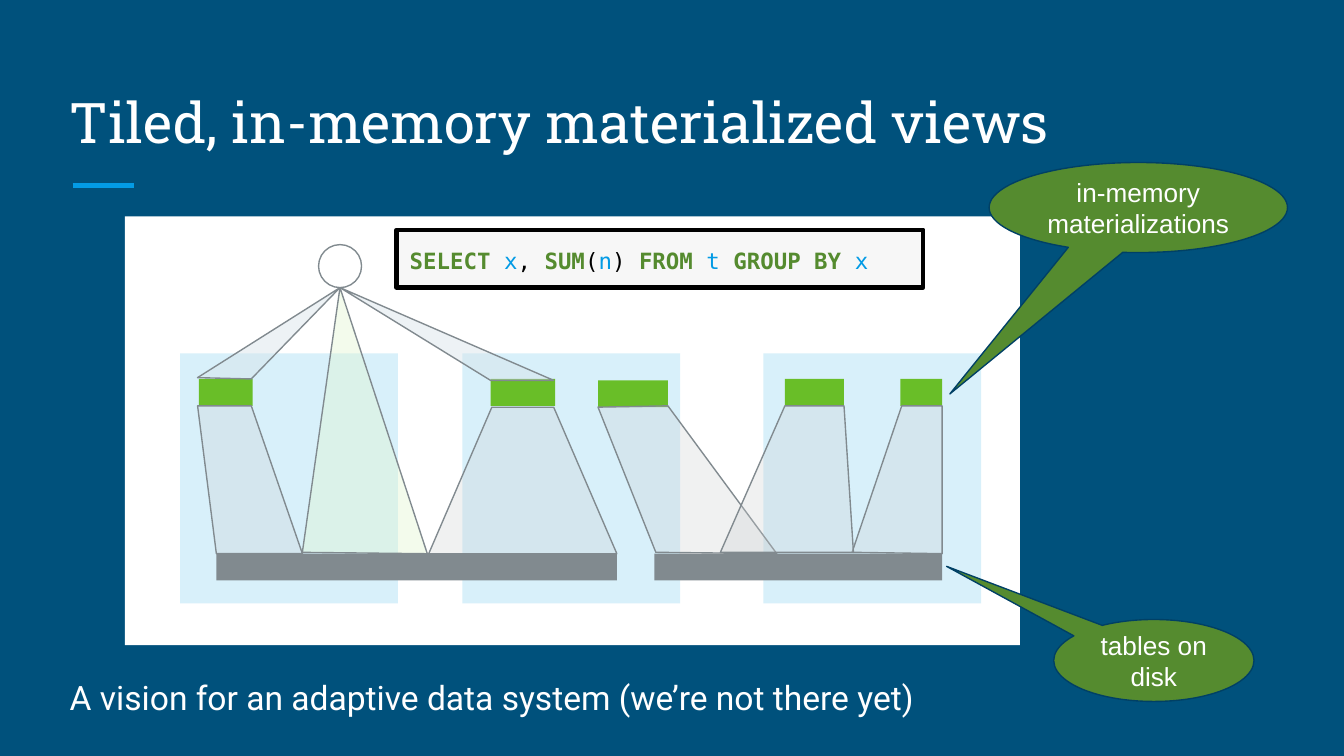
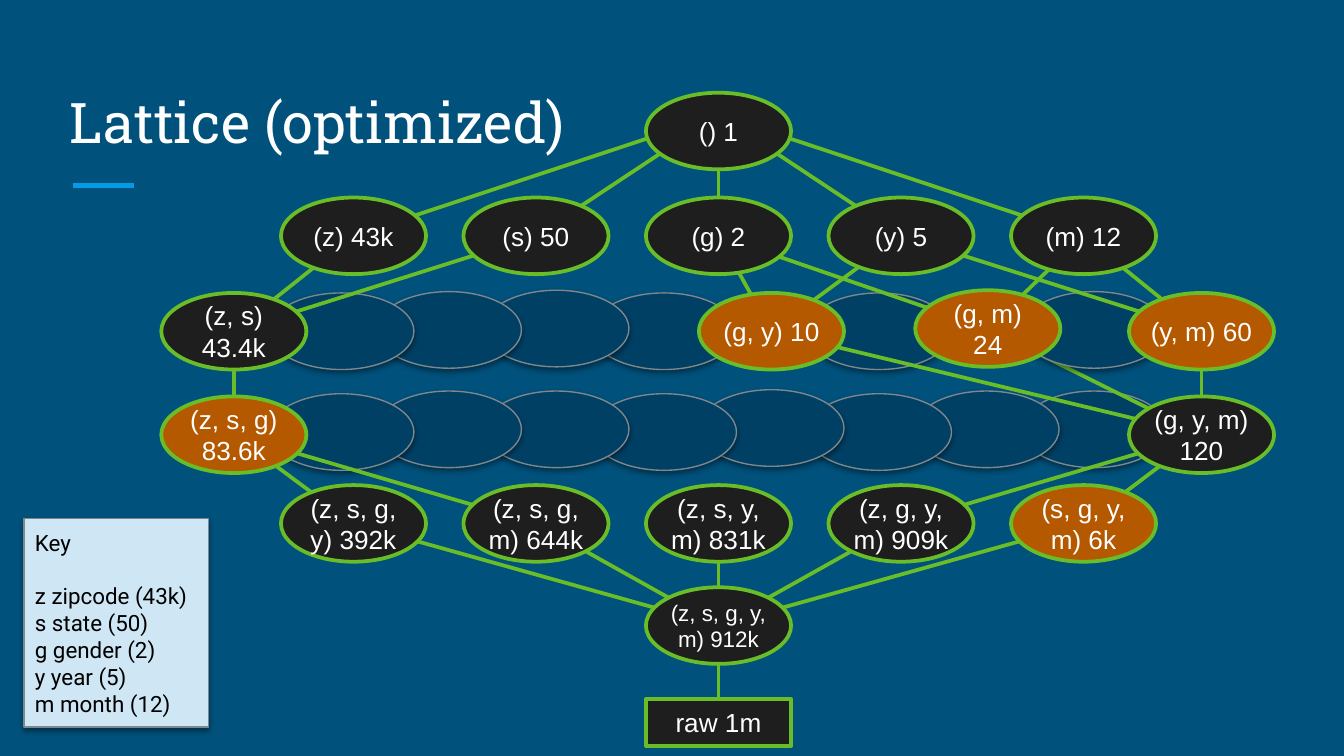
from dataclasses import dataclass
from typing import NamedTuple, Optional

from lxml.etree import SubElement
from pptx import Presentation
from pptx.dml.color import RGBColor
from pptx.enum.shapes import MSO_CONNECTOR, MSO_SHAPE
from pptx.enum.text import MSO_ANCHOR, PP_ALIGN
from pptx.oxml.ns import qn
from pptx.util import Inches, Pt

RECT, ELLIPSE, CALLOUT = MSO_SHAPE.RECTANGLE, MSO_SHAPE.OVAL, MSO_SHAPE.OVAL_CALLOUT
STRAIGHT = MSO_CONNECTOR.STRAIGHT
LEFT, CENTER = PP_ALIGN.LEFT, PP_ALIGN.CENTER
TOP, MIDDLE, BOTTOM = MSO_ANCHOR.TOP, MSO_ANCHOR.MIDDLE, MSO_ANCHOR.BOTTOM

# The slide is a grid of square cells: 100 columns by 56.25 rows
CELL = Inches(0.1)
COLUMNS, ROWS = 100, 56.25

NAVY = RGBColor(0x00, 0x51, 0x7C)
DEEP_NAVY = RGBColor(0x00, 0x40, 0x65)
SKY = RGBColor(0x03, 0x9B, 0xE5)
WHITE = RGBColor(0xFF, 0xFF, 0xFF)
BLACK = RGBColor(0x00, 0x00, 0x00)
PALE_BLUE = RGBColor(0xD8, 0xF0, 0xFA)
KEY_BLUE = RGBColor(0xCF, 0xE7, 0xF5)
GRAY = RGBColor(0x81, 0x8A, 0x8F)
EDGE_GRAY = RGBColor(0x7E, 0x87, 0x8C)
LIME = RGBColor(0x69, 0xBE, 0x28)
LEAF = RGBColor(0x55, 0x8B, 0x2F)
CODE_GRAY = RGBColor(0xF7, 0xF7, 0xF7)
CHARCOAL = RGBColor(0x1E, 0x1E, 0x1E)
ORANGE = RGBColor(0xB4, 0x59, 0x00)
SILVER = RGBColor(0xCD, 0xD0, 0xD2)
MIST = RGBColor(0xD6, 0xE2, 0xE9)
PALE_GREEN = RGBColor(0xE1, 0xF5, 0xD1)

SANS, BODY, SLAB, MONO = "Arial", "Roboto", "Roboto Slab", "DejaVu Sans Mono"


class Area(NamedTuple):
    left: float
    top: float
    width: float
    height: float


class Span(NamedTuple):
    text: str
    color: RGBColor
    bold: bool = False


class Facet(NamedTuple):
    color: RGBColor
    opacity: int
    corners: list


@dataclass
class Node:
    letters: str
    count: str
    left: float
    top: float
    color: RGBColor = CHARCOAL
    size: float = 14
    inset: float = 0
    rise: float = 0  # how far above the centre its links meet

    @property
    def label(self) -> str:
        return f"({', '.join(self.letters)}) {self.count}"

    @property
    def hub(self) -> tuple:
        return self.left + NODE_WIDTH / 2, self.top + NODE_HEIGHT / 2 - self.rise


def cells(count: float) -> int:
    return round(count * CELL)


# Shared drawing functions
def write(box, *paragraphs, font=SANS, size=14, color=WHITE, align=CENTER,
          anchor=MIDDLE, inset=1.0, spacing=None, after=()):
    """Fill a box; a paragraph is a string or a list of spans."""
    frame = box.text_frame
    frame.word_wrap = True
    frame.vertical_anchor = anchor
    frame.margin_left = frame.margin_right = cells(inset)
    frame.margin_top = frame.margin_bottom = cells(inset)
    for index, content in enumerate(paragraphs):
        para = frame.paragraphs[0] if index == 0 else frame.add_paragraph()
        para.alignment = align
        if spacing:
            para.line_spacing = spacing
        if index < len(after):
            para.space_after = Pt(after[index])
        spans = [Span(content, color)] if isinstance(content, str) else content
        for span in spans:
            run = para.add_run()
            run.text = span.text
            run.font.name, run.font.size = font, Pt(size)
            run.font.bold = span.bold
            run.font.color.rgb = span.color


def paint(shape, fill: Optional[RGBColor], line: Optional[RGBColor],
          weight: float, opacity: int = 100, shadow: bool = False):
    shape.shadow.inherit = False
    properties = shape._element.spPr
    if fill is None:
        shape.fill.background()
    else:
        shape.fill.solid()
        shape.fill.fore_color.rgb = fill
        if opacity < 100:
            tint = properties.find(qn("a:solidFill"))[0]
            SubElement(tint, qn("a:alpha"), val=str(opacity * 1000))
    if line is None:
        shape.line.fill.background()
    else:
        shape.line.color.rgb = line
        shape.line.width = Pt(weight)
    if shadow:
        outer = SubElement(properties.find(qn("a:effectLst")), qn("a:outerShdw"),
                           blurRad=str(Pt(3)), dist=str(Pt(1.6)),
                           dir="5400000", rotWithShape="0")
        black = SubElement(outer, qn("a:srgbClr"), val=str(BLACK))
        SubElement(black, qn("a:alpha"), val="38000")


def add_box(slide, kind, area: Area, fill=None, line=None, weight=0.75, shadow=False):
    shape = slide.shapes.add_shape(kind, *map(cells, area))
    paint(shape, fill, line, weight, shadow=shadow)
    return shape


def add_line(slide, start: tuple, end: tuple, color: RGBColor, weight: float):
    line = slide.shapes.add_connector(STRAIGHT, *map(cells, (*start, *end)))
    line.line.color.rgb = color
    line.line.width = Pt(weight)
    SubElement(line._element.spPr, qn("a:effectLst"))
    return line


def add_facet(slide, facet: Facet):
    points = [(cells(x), cells(y)) for x, y in facet.corners]
    builder = slide.shapes.build_freeform(*points[0], scale=1.0)
    builder.add_line_segments(points[1:], close=True)
    paint(builder.convert_to_shape(), facet.color, GRAY, 0.75, facet.opacity)


def add_words(slide, area: Area, text: str, **style):
    box = slide.shapes.add_textbox(*map(cells, area))
    write(box, text, align=LEFT, **style)


def add_slide(deck, title: str):
    slide = deck.slides.add_slide(deck.slide_layouts[6])
    slide.background.fill.solid()
    slide.background.fill.fore_color.rgb = NAVY
    add_line(slide, (5.4, 13.8), (10, 13.8), SKY, 3)
    add_words(slide, Area(4.2, 5, 91.5, 7.5), title, font=SLAB, size=30, anchor=BOTTOM)
    return slide


# Slide 1: tiled views
TILE_LEFTS = (13.4, 56.8, 34.4)
TABLES = ((48.7, 21.4), (16.1, 29.8))  # left, width
VIEWS = ((44.5, 28.3, 5.2), (14.8, 28.2, 4), (36.5, 28.2, 4.8),
         (67, 28.2, 3.1), (58.4, 28.2, 4.4))  # left, top, width
APEX = (25.3, 21.4)
FACETS = (
    Facet(SILVER, 29, [(31.9, 41.2), (36.6, 30.3), (41.2, 30.3), (45.9, 41.2)]),
    Facet(SILVER, 29, [(44.5, 30.3), (48.8, 41.1), (57.8, 41.2), (49.7, 30.2)]),
    Facet(SILVER, 29, [(67.1, 30.2), (63.4, 41.1), (70.1, 41.2), (70.1, 30.2)]),
    Facet(SILVER, 29, [(58.4, 30.2), (53.6, 41.1), (63.5, 41.1), (62.8, 30.2)]),
    Facet(SILVER, 29, [(14.7, 30.2), (16.1, 41.2), (22.5, 41.2), (18.7, 30.2)]),
    Facet(MIST, 42, [(14.7, 28.1), APEX, (18.7, 28.2)]),
    Facet(PALE_GREEN, 40, [(22.5, 41.1), APEX, (31.8, 41.2)]),
    Facet(MIST, 42, [(36.5, 28.3), APEX, (41.2, 28.3)]),
)
CALLOUTS = (
    ("tables on disk", Area(78.4, 46.1, 14.9, 6.1), (-1.035, -1.149)),
    ("in-memory materializations", Area(73.6, 12.1, 22.2, 6.7), (-0.632, 2.07)),
)
QUERY = [Span("SELECT ", LEAF, True), Span("x", SKY), Span(", ", BLACK),
         Span("SUM", LEAF, True), Span("(", BLACK), Span("n", SKY),
         Span(") ", BLACK), Span("FROM ", LEAF, True), Span("t ", SKY),
         Span("GROUP BY ", LEAF, True), Span("x", SKY)]


def build_views(deck):
    slide = add_slide(deck, "Tiled, in-memory materialized views")
    add_words(slide, Area(4.2, 48.9, 91.5, 3.5),
              "A vision for an adaptive data system (we’re not there yet)",
              font=BODY, size=18, anchor=TOP, spacing=1.15, after=(16,))
    # Panel, tiles, tables and views
    add_box(slide, RECT, Area(9.3, 16.1, 66.6, 31.9), WHITE)
    for left in TILE_LEFTS:
        add_box(slide, RECT, Area(left, 26.3, 16.2, 18.6), PALE_BLUE)
    for left, width in TABLES:
        add_box(slide, RECT, Area(left, 41.2, width, 2), GRAY)
    for left, top, width in VIEWS:
        add_box(slide, RECT, Area(left, top, width, 2), LIME)
    # Query node and what it reads
    add_box(slide, ELLIPSE, Area(23.7, 18.2, 3.2, 3.2), line=GRAY)
    for facet in FACETS:
        add_facet(slide, facet)
    for text, area, tip in CALLOUTS:
        callout = add_box(slide, CALLOUT, area, LEAF, DEEP_NAVY)
        callout.adjustments[0], callout.adjustments[1] = tip
        write(callout, text)
    query = add_box(slide, RECT, Area(29.5, 17.1, 39.2, 4.3), CODE_GRAY, BLACK, 2.25)
    write(query, QUERY, font=MONO, size=12, align=LEFT, anchor=TOP,
          spacing=1.15, after=(16,))


# Slide 2: lattice
NODE_WIDTH, NODE_HEIGHT = 10.8, 5.7
FIVE = [20.9 + 13.58 * column for column in range(5)]
SINGLES = (("z", "43k"), ("s", "50"), ("g", "2"), ("y", "5"), ("m", "12"))
FOURS = (("zsgy", "392k"), ("zsgm", "644k"), ("zsym", "831k"),
         ("zgym", "909k"), ("sgym", "6k"))
NODES = [
    Node("", "1", FIVE[2], 6.9, inset=0.8, rise=1.2),
    *(Node(*single, left, 14.7) for single, left in zip(SINGLES, FIVE)),
    Node("zs", "43.4k", 12, 21.8),
    Node("gy", "10", 52, 21.8, ORANGE),
    Node("gm", "24", 68.1, 21.6, ORANGE),
    Node("ym", "60", 84, 21.8, ORANGE),
    Node("zsg", "83.6k", 12, 29.5, ORANGE),
    Node("gym", "120", 84, 29.5),
    *(Node(*four, left, 36.1, ORANGE if four[0] == "sgym" else CHARCOAL)
      for four, left in zip(FOURS, FIVE)),
    Node("zsgym", "912k", FIVE[2], 43.7, size=12),
]
# Each child with its parents; the back links run behind most ghosts
BACK_LINKS = {"gm": ["m"], "gym": ["gm", "ym"], **{name: [""] for name in "mygsz"}}
FRONT_LINKS = {"zsgym": ["zsym", "sgym", "zgym", "zsgm", "zsgy"],
               "zsgy": ["zsg"], "zsgm": ["zsg"], "zgym": ["gym"], "sgym": ["gym"],
               "zsg": ["zs"], "zs": ["z", "s"], "ym": ["m", "y"],
               "gy": ["y", "g"], "gm": ["g"], "gym": ["gy"]}
# Unused views as slot and top, right to left so that the left one lies on top
GHOSTS = ((7, 29.1), (7, 21.7), (5, 21.8), (3, 21.8), (2, 21.6), (1, 21.7), (0, 21.8),
          (6, 29.1), (5, 29.3), (4, 29), (3, 29.3), (2, 29.1), (1, 29.1), (0, 29.3))


def add_ghosts(slide, ghosts):
    for slot, top in ghosts:
        add_box(slide, ELLIPSE, Area(20 + 8 * slot, top, NODE_WIDTH, NODE_HEIGHT),
                DEEP_NAVY, EDGE_GRAY, shadow=True)


def add_links(slide, links: dict):
    hubs = {node.letters: node.hub for node in NODES}
    for child, parents in links.items():
        for parent in parents:
            add_line(slide, hubs[child], hubs[parent], LIME, 2)


def build_lattice(deck):
    slide = add_slide(deck, "Lattice (optimized)")
    add_ghosts(slide, GHOSTS[:1])
    add_links(slide, BACK_LINKS)
    add_ghosts(slide, GHOSTS[1:])
    add_links(slide, FRONT_LINKS)
    # Raw table, joined to the lowest node
    raw = add_box(slide, RECT, Area(FIVE[2], 52, NODE_WIDTH, 3.5), CHARCOAL, LIME, 2)
    write(raw, "raw 1m", inset=0.8)
    bottom = NODES[-1].hub
    add_line(slide, (bottom[0], 52), bottom, LIME, 2).begin_connect(raw, 0)
    for node in NODES:
        oval = add_box(slide, ELLIPSE, Area(node.left, node.top, NODE_WIDTH, NODE_HEIGHT),
                       node.color, LIME, 2)
        write(oval, node.label, size=node.size, inset=node.inset)
    # Key to the letters
    key = add_box(slide, RECT, Area(1.8, 38.6, 13.7, 15.5), KEY_BLUE, EDGE_GRAY, shadow=True)
    write(key, "Key", "z zipcode (43k)", "s state (50)", "g gender (2)", "y year (5)",
          "m month (12)", font=BODY, size=12, color=BLACK, align=LEFT, anchor=TOP,
          inset=0.8, after=(14,))


def main():
    deck = Presentation()
    deck.slide_width, deck.slide_height = cells(COLUMNS), cells(ROWS)
    build_views(deck)
    build_lattice(deck)
    deck.save("out.pptx")


if __name__ == "__main__":
    main()
